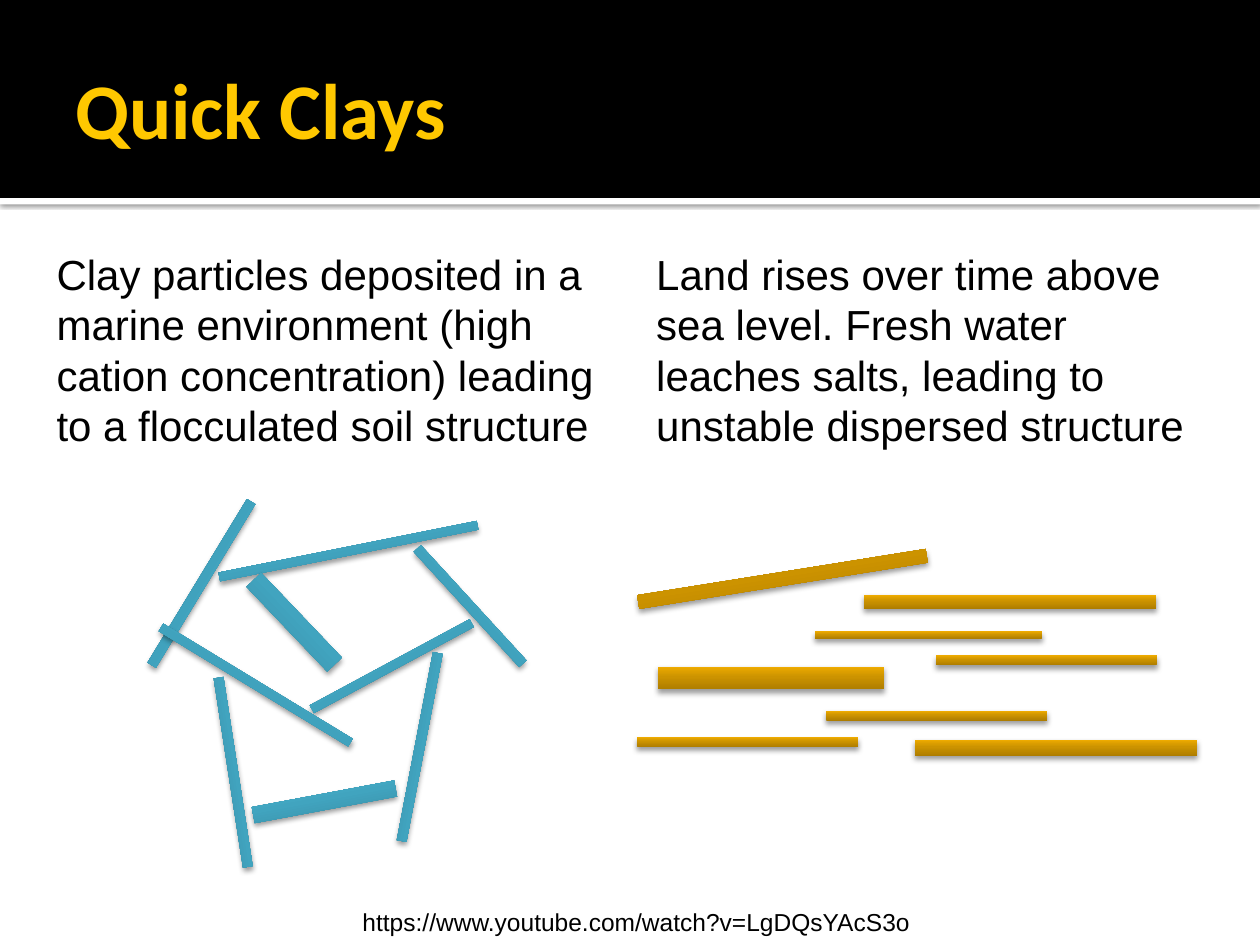
from copy import deepcopy

from lxml.etree import SubElement
from pptx import Presentation
from pptx.dml.color import RGBColor
from pptx.enum.shapes import MSO_SHAPE
from pptx.enum.text import MSO_ANCHOR, PP_ALIGN
from pptx.oxml.ns import qn
from pptx.util import Cm, Pt

COLORS = {"black": "000000", "white": "FFFFFF", "title": "FFC800"}
MARINE = {0: "378BA2", 0.55: "41A4BF", 1: "4BBFDE"}
LEACHED = {0: "AE7D00", 0.55: "CC9300", 1: "EEAB00"}

FLOCCULATED = [
    (2.37, 0.02, 5.31, 0.18, 348.7),
    (2.75, 1.34, 2.36, 0.41, 46.4),
    (5.9, 1.12, 3.15, 0.2, 47.5),
    (4.07, 2.34, 3.66, 0.18, 331.7),
    (0.13, 0.66, 3.86, 0.2, 121.3),
    (0.92, 2.72, 4.47, 0.18, 31.3),
    (4.53, 3.96, 3.86, 0.2, 100.9),
    (0.77, 4.47, 3.86, 0.2, 81.2),
    (3.08, 5, 2.92, 0.33, 349.4),
]
DISPERSED = [
    (0.03, 0.03, 5.89, 0.28, 350.9),
    (4.62, 0.49, 5.89, 0.28, 0),
    (3.63, 1.23, 4.57, 0.15, 0),
    (0.46, 1.94, 4.57, 0.46, 0),
    (6.07, 1.71, 4.45, 0.2, 0),
    (3.86, 2.83, 4.45, 0.2, 0),
    (0.05, 3.36, 4.45, 0.2, 0),
    (5.64, 3.41, 5.69, 0.33, 0),
]


def rgb(name):
    """Return the named palette colour."""
    return RGBColor.from_string(COLORS[name])


def add_rect(shapes, x, y, w, h):
    """Add a rectangle without line or shadow, measured in centimetres."""
    sp = shapes.add_shape(MSO_SHAPE.RECTANGLE, Cm(x), Cm(y), Cm(w), Cm(h))
    sp.line.fill.background()
    sp.shadow.inherit = False
    return sp


def add_shadow(sp, opacity, blur, distance):
    """Give a shape a soft black shadow below it."""
    effects = sp.element.spPr.find(qn("a:effectLst"))
    shadow = SubElement(effects, qn("a:outerShdw"), blurRad=str(Pt(blur)),
                        dist=str(Pt(distance)), dir="5400000", rotWithShape="0")
    color = SubElement(shadow, qn("a:srgbClr"), val=COLORS["black"])
    SubElement(color, qn("a:alpha"), val=str(opacity * 1000))


def fill_gradient(sp, stops):
    """Fill a shape with a three-stop gradient from bottom to top."""
    sp.fill.gradient()
    sp.fill.gradient_angle = 90
    gs_list = sp.element.spPr.find(qn("a:gradFill")).find(qn("a:gsLst"))
    gs_list.append(deepcopy(gs_list[-1]))
    for stop, (position, color) in zip(sp.fill.gradient_stops, stops.items()):
        stop.position = position
        stop.color.rgb = RGBColor.from_string(color)


def add_text(s, text, x, y, w, h, size, font="Arial", color="black"):
    """Add a wrapped text box and return its frame."""
    tf = s.shapes.add_textbox(Cm(x), Cm(y), Cm(w), Cm(h)).text_frame
    tf.word_wrap = True
    p = tf.paragraphs[0]
    p.text = text
    p.font.size = Pt(size)
    p.font.name = font
    p.font.color.rgb = rgb(color)
    return tf


def add_header(s, w, h):
    """Draw the black title band with its white edge and the title."""
    edge = add_rect(s.shapes, 0, h, w, 0.13)
    add_shadow(edge, 60, 2.5, 0.8)
    band = add_rect(s.shapes, 0, 0, w, h)
    for sp, color in ((edge, "white"), (band, "black")):
        sp.fill.solid()
        sp.fill.fore_color.rgb = rgb(color)
    tf = add_text(s, "Quick Clays", 1.27, 0.43, w - 2.54, h - 0.51, 45,
                  "Calibri", "title")
    tf.vertical_anchor = MSO_ANCHOR.MIDDLE
    tf.paragraphs[0].font.bold = True


def add_particles(s, x, y, bars, stops):
    """Draw a group of clay particles relative to its corner."""
    group = s.shapes.add_group_shape()
    for left, top, w, h, angle in bars:
        sp = add_rect(group.shapes, x + left, y + top, w, h)
        sp.rotation = angle
        fill_gradient(sp, stops)
        add_shadow(sp, 38, 3.1, 2)


def add_footer(s, x, y, w, h):
    """Add the centred web address."""
    tf = add_text(s, "https://www.youtube.com/watch?v=LgDQsYAcS3o", x, y, w, h, 14)
    tf.paragraphs[0].alignment = PP_ALIGN.CENTER


def main():
    """Build the slide and save it."""
    prs = Presentation()
    prs.slide_width, prs.slide_height = Cm(25.4), Cm(19.05)
    s = prs.slides.add_slide(prs.slide_layouts[6])
    add_header(s, 25.4, 3.99)
    add_footer(s, 3.94, 18.16, 17.78, 0.86)
    add_particles(s, 2, 11, FLOCCULATED, MARINE)
    add_particles(s, 12.8, 11.5, DISPERSED, LEACHED)
    add_text(s, "Clay particles deposited in a marine environment (high cation "
             "concentration) leading to a flocculated soil structure",
             0.89, 4.88, 11.81, 4.37, 24)
    add_text(s, "Land rises over time above sea level. Fresh water leaches salts, "
             "leading to unstable dispersed structure",
             12.98, 4.88, 11.81, 4.37, 24)
    prs.save("out.pptx")


if __name__ == "__main__":
    main()
